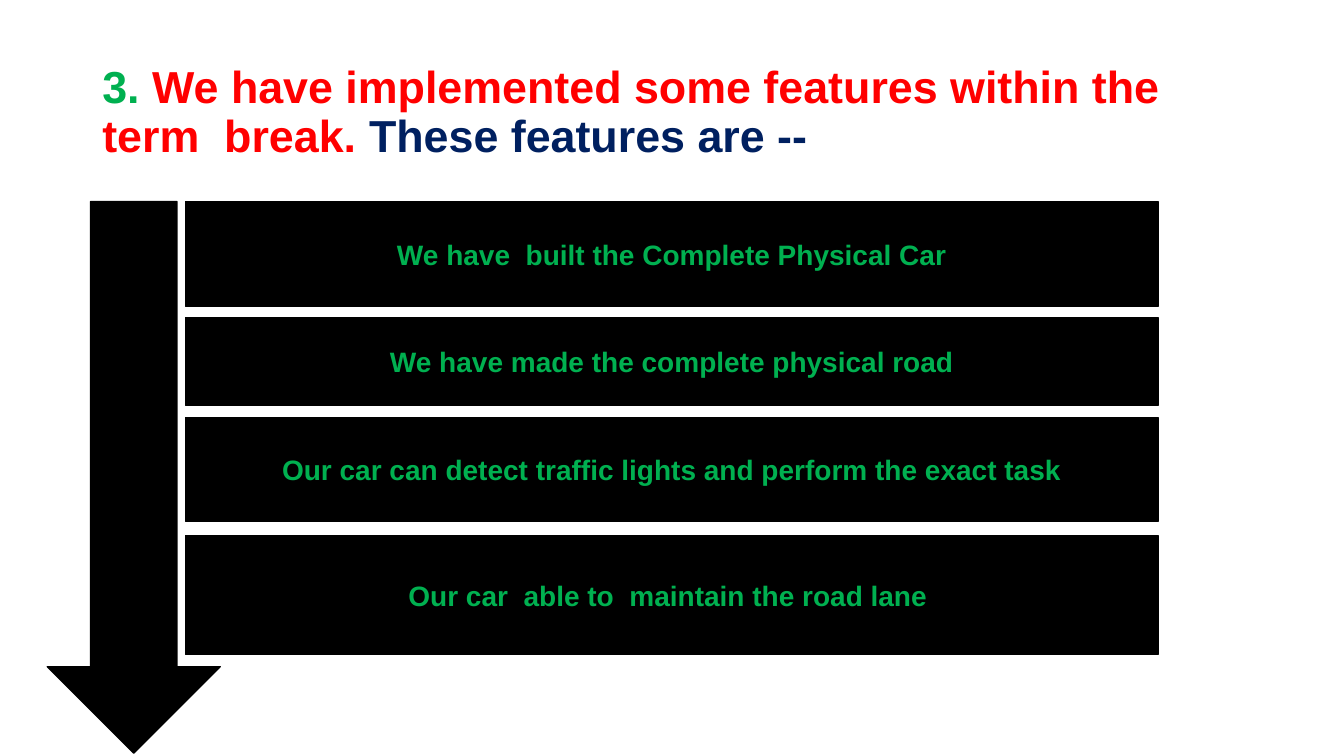
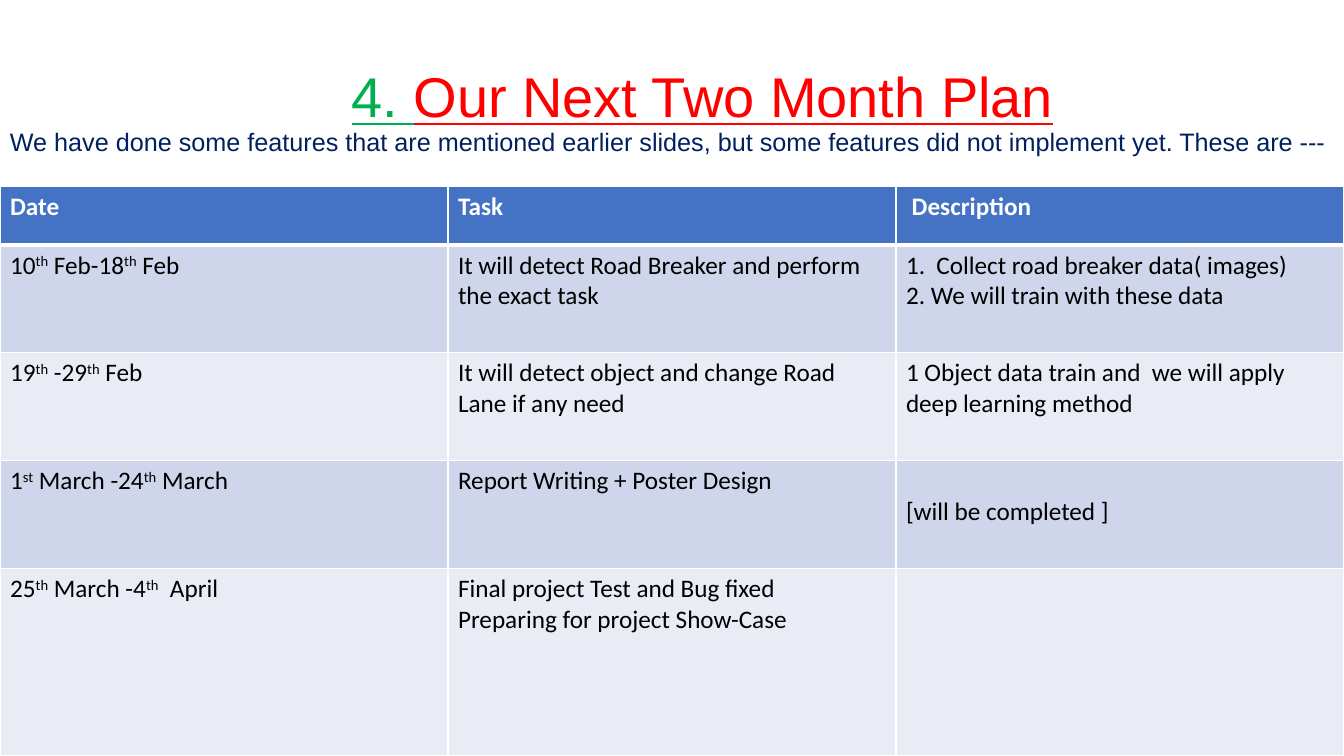
from collections import namedtuple

from lxml.etree import SubElement
from pptx import Presentation
from pptx.dml.color import RGBColor
from pptx.enum.shapes import MSO_SHAPE
from pptx.enum.text import MSO_ANCHOR, PP_ALIGN
from pptx.oxml.ns import qn
from pptx.util import Pt

BLACK = RGBColor(0x00, 0x00, 0x00)
WHITE = RGBColor(0xFF, 0xFF, 0xFF)
GREEN = RGBColor(0x00, 0xB0, 0x50)
RED = RGBColor(0xFF, 0x00, 0x00)
NAVY = RGBColor(0x00, 0x20, 0x60)
HEADER_BLUE = RGBColor(0x44, 0x72, 0xC4)
ROW_BANDS = (RGBColor(0xCF, 0xD5, 0xEA), RGBColor(0xE9, 0xEB, 0xF5))

TITLE_FONT = "Arial"
TABLE_FONT = "Calibri"
SLIDE_WIDTH, SLIDE_HEIGHT = 960, 540
TITLE_TOP, TITLE_HEIGHT = 28.8, 104.4

Box = namedtuple("Box", "left top width height")
TitleLine = namedtuple("TitleLine", "wording size bold underline indent", defaults=(False, False, 0))

FEATURES = [
    ("We have  built the Complete Physical Car", 0, 74.9),
    ("We have made the complete physical road", 82.8, 62.8),
    ("Our car can detect traffic lights and perform the exact task", 154, 74.4),
    ("Our car  able to  maintain the road lane ", 238.4, 85.2),
]

PLAN_HEADINGS = ["Date", "Task", " Description"]
PLAN_ROWS = [
    ["10^th^ Feb-18^th^ Feb",
     "It will detect Road Breaker and perform the exact task",
     "1.  Collect road breaker data( images)\n2. We will train with these data"],
    ["19^th^ -29^th^ Feb",
     "It will detect object and change Road Lane if any need",
     "1 Object data train and  we will apply deep learning method"],
    ["1^st^ March -24^th^ March",
     "Report Writing + Poster Design",
     "[will be completed ]"],
    ["25^th^ March -4^th^  April",
     "Final project Test and Bug fixed\nPreparing for project Show-Case",
     ""],
]
PLAN_ROW_HEIGHTS = [41.8, 77.1, 77.1, 77.1, 133.3]
PLAN_LINE_HEIGHT = 22


def in_points(box):
    return [Pt(length) for length in box]


def style_run(run, font, size, color, bold=False, underline=False):
    run.font.name = font
    run.font.size = Pt(size)
    run.font.color.rgb = color
    run.font.bold = bold
    run.font.underline = underline


def add_title(slide, box, lines):
    frame = slide.shapes.add_textbox(*in_points(box)).text_frame
    frame.word_wrap = True
    frame.vertical_anchor = MSO_ANCHOR.MIDDLE
    frame.text = "\n" * (len(lines) - 1)
    for paragraph, line in zip(frame.paragraphs, lines):
        paragraph.line_spacing = 0.9
        paragraph._p.get_or_add_pPr().set("marL", str(Pt(line.indent)))
        for text, color in line.wording:
            run = paragraph.add_run()
            run.text = text
            style_run(run, TITLE_FONT, line.size, color, line.bold, line.underline)


def add_black_shape(slide, preset, box):
    shape = slide.shapes.add_shape(preset, *in_points(box))
    shape.shadow.inherit = False
    shape.fill.solid()
    shape.fill.fore_color.rgb = BLACK
    shape.line.color.rgb = BLACK
    shape.line.width = Pt(1)
    return shape


def add_feature_bars(slide, box):
    for text, offset, height in FEATURES:
        bar = add_black_shape(slide, MSO_SHAPE.RECTANGLE,
                              Box(box.left, box.top + offset, box.width, height))
        frame = bar.text_frame
        frame.word_wrap = True
        frame.vertical_anchor = MSO_ANCHOR.MIDDLE
        frame.text = text
        frame.paragraphs[0].alignment = PP_ALIGN.CENTER
        style_run(frame.paragraphs[0].runs[0], TITLE_FONT, 20, GREEN, bold=True)


def add_cell_borders(cell, widths):
    properties = cell._tc.get_or_add_tcPr()
    for position, (side, width) in enumerate(widths.items()):
        border = SubElement(properties, qn(f"a:ln{side}"), w=str(Pt(width)))
        fill = SubElement(border, qn("a:solidFill"))
        SubElement(fill, qn("a:srgbClr"), val=str(WHITE))
        properties.insert(position, border)


def fill_cell(cell, text, row):
    heading = row == 0
    cell.fill.solid()
    cell.fill.fore_color.rgb = HEADER_BLUE if heading else ROW_BANDS[(row - 1) % 2]
    add_cell_borders(cell, {"L": 1, "R": 1, "T": 3 if row == 1 else 1, "B": 3 if heading else 1})
    lines = text.split("\n")
    cell.text_frame.text = "\n" * (len(lines) - 1)
    for paragraph, line in zip(cell.text_frame.paragraphs, lines):
        for index, piece in enumerate(line.split("^")):
            run = paragraph.add_run()
            run.text = piece
            style_run(run, TABLE_FONT, 18, WHITE if heading else BLACK, bold=heading)
            if index % 2:
                run._r.get_or_add_rPr().set("baseline", "30000")


def add_plan_table(slide, box):
    rows = [PLAN_HEADINGS] + PLAN_ROWS
    table = slide.shapes.add_table(len(rows), len(PLAN_HEADINGS), *in_points(box)).table
    for column in table.columns:
        column.width = Pt(box.width / len(PLAN_HEADINGS))
    for row, (texts, height) in enumerate(zip(rows, PLAN_ROW_HEIGHTS)):
        table.rows[row].height = Pt(height)
        for column, text in enumerate(texts):
            fill_cell(table.cell(row, column), text, row)
    table.cell(3, 2).margin_top = Pt(3.6 + PLAN_LINE_HEIGHT)


def build_features_slide(slide):
    add_title(slide, Box(66, TITLE_TOP, 828, TITLE_HEIGHT), [
        TitleLine([("3. ", GREEN),
                   ("We have implemented some features within the term  break. ", RED),
                   ("These features are --", NAVY)], 32, bold=True),
    ])
    add_feature_bars(slide, Box(132.5, 144, 694.8, 323.6))
    add_black_shape(slide, MSO_SHAPE.DOWN_ARROW, Box(33.8, 144, 123.5, 394))


def build_plan_slide(slide):
    add_title(slide, Box(0, TITLE_TOP, SLIDE_WIDTH, TITLE_HEIGHT), [
        TitleLine([("4. ", GREEN), ("Our Next Two Month Plan", RED)], 40,
                  underline=True, indent=244),
        TitleLine([("We have done some features that are mentioned earlier slides, but some "
                    "features did not implement yet. These are ---", NAVY)], 18),
    ])
    table_top = TITLE_TOP + TITLE_HEIGHT
    add_plan_table(slide, Box(0, table_top, SLIDE_WIDTH, SLIDE_HEIGHT - table_top))


def main():
    deck = Presentation()
    deck.slide_width, deck.slide_height = Pt(SLIDE_WIDTH), Pt(SLIDE_HEIGHT)
    for build in (build_features_slide, build_plan_slide):
        build(deck.slides.add_slide(deck.slide_layouts[6]))
    deck.save("out.pptx")


if __name__ == "__main__":
    main()
